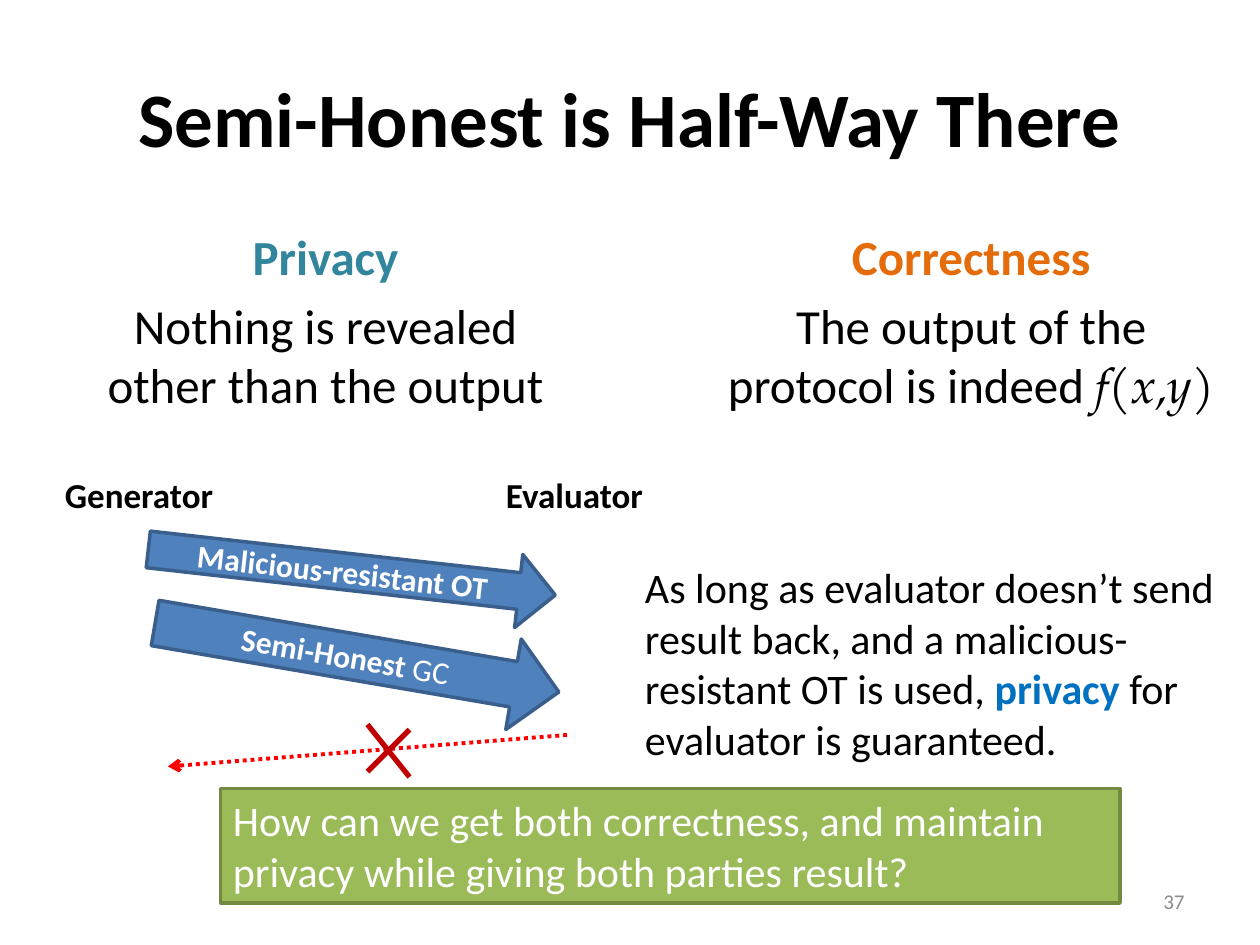
from lxml.etree import SubElement
from pptx import Presentation
from pptx.dml.color import RGBColor
from pptx.enum.dml import MSO_LINE
from pptx.enum.shapes import MSO_CONNECTOR, MSO_SHAPE
from pptx.enum.text import MSO_ANCHOR as Anchor, PP_ALIGN as Align
from pptx.oxml.ns import qn
from pptx.util import Pt

BLACK, WHITE, BLUE, GREEN = "000000", "FFFFFF", "4F81BD", "9BBB59"
RED, DARK_RED = "FF0000", "C00000"
MATH = "TeX Gyre Pagella"

BODY = dict(size=28, color=BLACK)
LABEL = dict(size=20, color=BLACK, bold=True)
NOTE = dict(size=24, color=BLACK)
ARROW = dict(size=18, color=WHITE)

TITLE = [[("Semi-Honest is Half-Way There", dict(size=44, color=BLACK, bold=True))]]

TEXTS = [
    ((36, 126, 300, 356.4), Align.CENTER, Anchor.TOP, True, [
        [("Privacy", dict(size=28, color="31859C", bold=True))],
        [("Nothing is revealed other than the output", BODY)]]),
    ((408, 126, 294, 174), Align.CENTER, Anchor.TOP, True, [
        [("Correctness", dict(size=28, color="E46C0A", bold=True))],
        [("The output of the protocol is indeed ", BODY),
         ("f", dict(BODY, name=MATH, italic=True)),
         ("(", dict(BODY, name=MATH)),
         ("x,y", dict(BODY, name=MATH, italic=True)),
         (")", dict(BODY, name=MATH))]]),
    ((30, 267, 100, 31.5), Align.LEFT, Anchor.TOP, False, [[("Generator", LABEL)]]),
    ((282, 267, 94, 31.5), Align.LEFT, Anchor.TOP, False, [[("Evaluator", LABEL)]]),
    ((361.5, 317.5, 346.5, 124), Align.LEFT, Anchor.TOP, True, [
        [("As long as evaluator doesn’t send result back, and a "
          "malicious-resistant OT is used, ", NOTE),
         ("privacy", dict(size=24, color="0070C0", bold=True)),
         (" for evaluator is guaranteed.", NOTE)]]),
    ((516, 500.5, 168, 28.75), Align.RIGHT, Anchor.MIDDLE, True, [
        [("37", dict(size=12, color="8C8C8C"))]]),
]

SHAPES = [
    (MSO_SHAPE.RIGHT_ARROW, (84, 306, 234, 42), 6.4, BLUE, "3A5F8C",
     Align.CENTER, Anchor.MIDDLE,
     [[("Malicious-resistant OT", dict(ARROW, bold=True))]]),
    (MSO_SHAPE.RIGHT_ARROW, (87, 349.5, 234, 52.5), 9.7, BLUE, "3A5F8C",
     Align.CENTER, Anchor.MIDDLE,
     [[("Semi-Honest", dict(ARROW, bold=True)), (" GC", ARROW)]]),
    (MSO_SHAPE.RECTANGLE, (126, 450.5, 514, 65.5), 0, GREEN, "738A42",
     Align.LEFT, Anchor.TOP,
     [[("How can we get both correctness, and maintain privacy while "
        "giving both parties result?", dict(size=24, color=WHITE))]]),
]

LINES = [
    ((324, 420, 96, 438), RED, 2.25, True),
    ((210, 414, 234, 444), DARK_RED, 3, False),
    ((234, 417, 210, 441), DARK_RED, 3, False),
]


def rgb(value):
    return RGBColor.from_string(value)


def points(values):
    return [Pt(value) for value in values]


def write(shape, paragraphs, align, anchor, wrap=True):
    frame = shape.text_frame
    frame.word_wrap = wrap
    frame.vertical_anchor = anchor
    for index, spans in enumerate(paragraphs):
        para = frame.add_paragraph() if index else frame.paragraphs[0]
        para.alignment = align
        if index:
            para.space_before = Pt(5.6)
        for text, style in spans:
            span = para.add_run()
            span.text = text
            values = {"name": "Calibri", "bold": False, "italic": False, **style}
            span.font.color.rgb = rgb(values.pop("color"))
            values["size"] = Pt(values["size"])
            for key, value in values.items():
                setattr(span.font, key, value)


def add_title(page):
    title = page.shapes.title
    title.left, title.top, title.width, title.height = points((36, 21.6, 648, 90))
    write(title, TITLE, Align.CENTER, Anchor.MIDDLE)


def add_shape(page, kind, place, angle, fill, edge, align, anchor, paragraphs):
    shape = page.shapes.add_shape(kind, *points(place))
    shape.rotation = angle
    shape.shadow.inherit = False
    shape.fill.solid()
    shape.fill.fore_color.rgb = rgb(fill)
    shape.line.color.rgb = rgb(edge)
    shape.line.width = Pt(2)
    write(shape, paragraphs, align, anchor)


def add_line(page, ends, color, width, is_arrow):
    connector = page.shapes.add_connector(MSO_CONNECTOR.STRAIGHT, *points(ends))
    connector.line.color.rgb = rgb(color)
    connector.line.width = Pt(width)
    if is_arrow:
        connector.line.dash_style = MSO_LINE.ROUND_DOT
        SubElement(connector.line._get_or_add_ln(), qn("a:tailEnd"), type="arrow")
    SubElement(connector._element.spPr, qn("a:effectLst"))


def main():
    deck = Presentation()
    deck.slide_width, deck.slide_height = Pt(720), Pt(540)
    page = deck.slides.add_slide(deck.slide_layouts[5])
    add_title(page)
    for place, align, anchor, wrap, paragraphs in TEXTS:
        box = page.shapes.add_textbox(*points(place))
        write(box, paragraphs, align, anchor, wrap)
    for shape in SHAPES:
        add_shape(page, *shape)
    for line in LINES:
        add_line(page, *line)
    deck.save("out.pptx")


if __name__ == "__main__":
    main()
